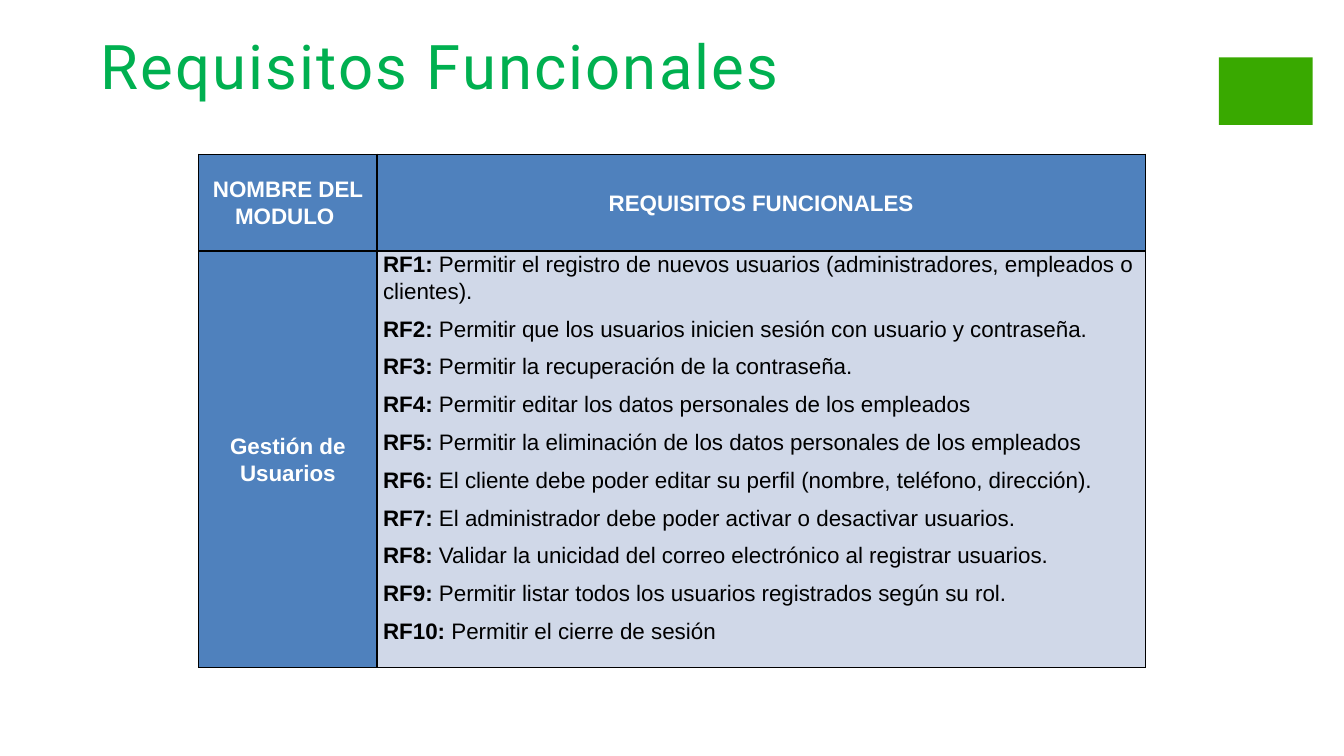
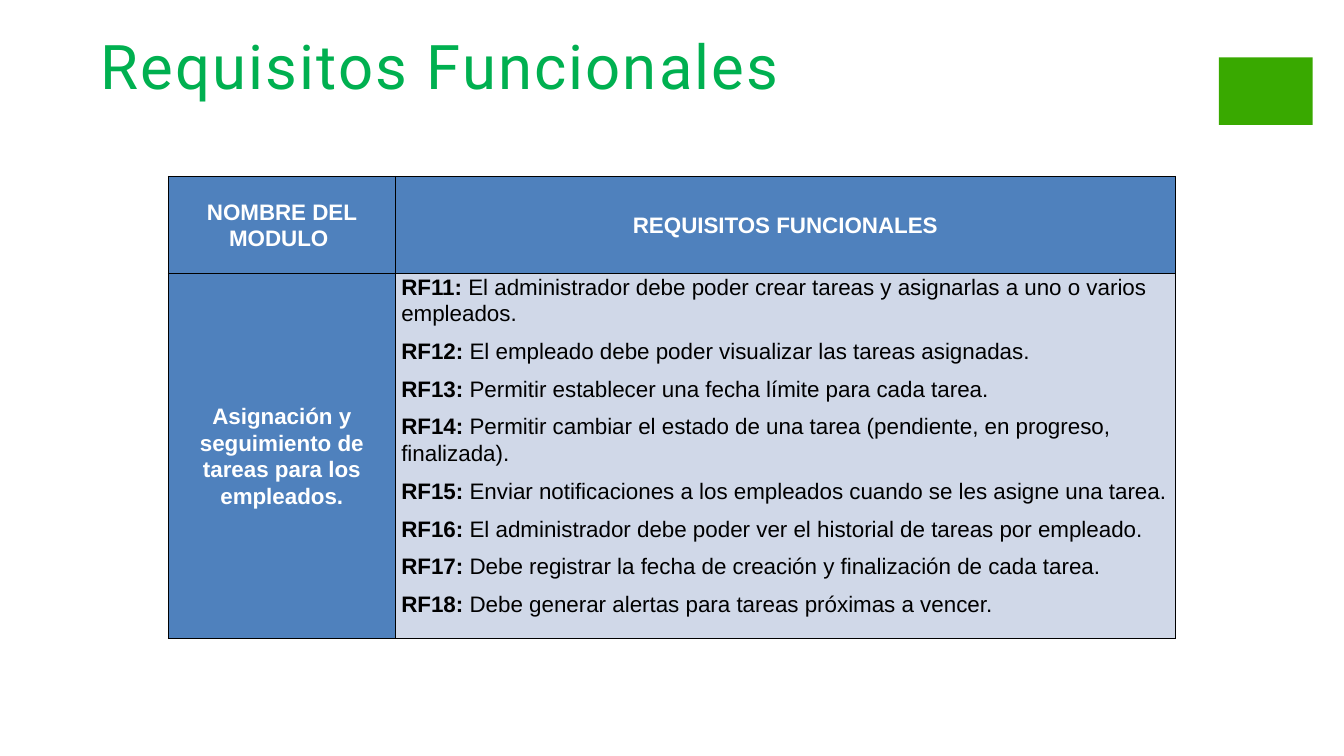
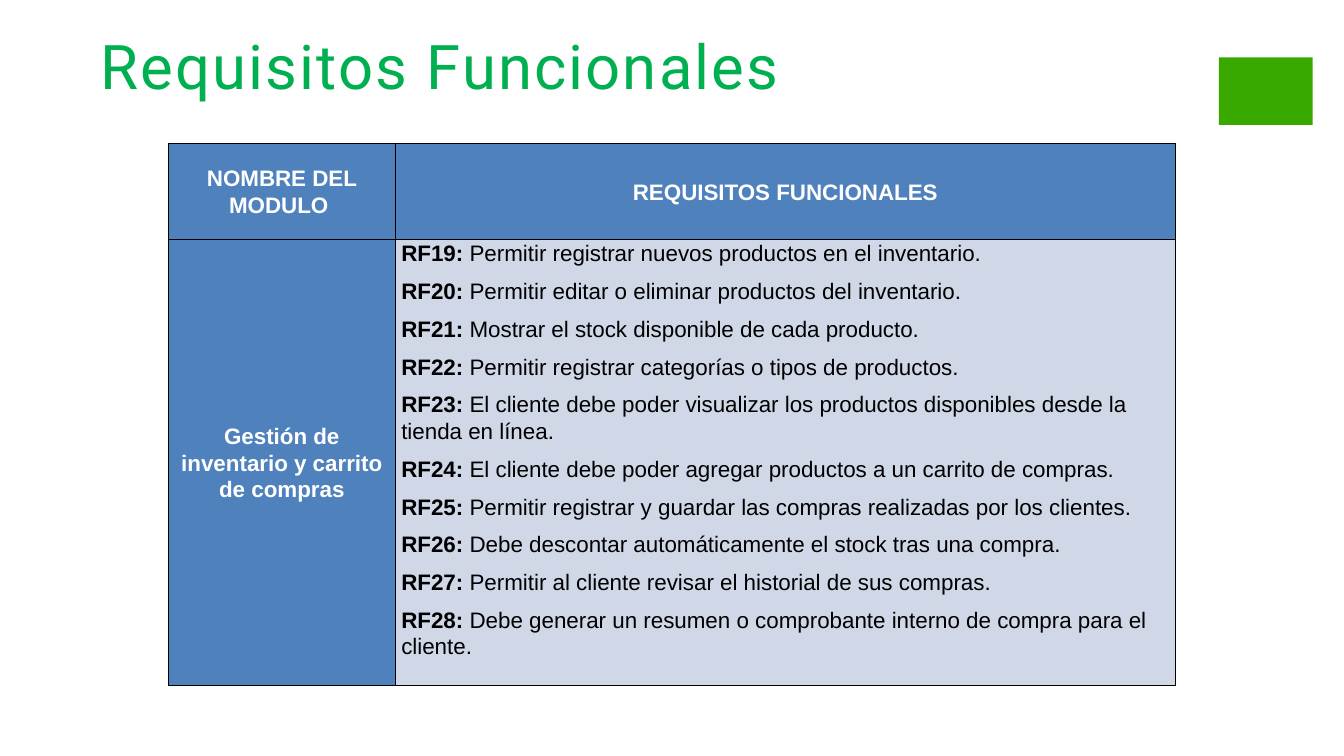
from itertools import count
from lxml.etree import SubElement
from pptx import Presentation
from pptx.dml.color import RGBColor
from pptx.enum.shapes import MSO_SHAPE as Shape
from pptx.enum.text import MSO_ANCHOR as Anchor, MSO_AUTO_SIZE as Auto, PP_ALIGN as Align
from pptx.oxml.ns import qn
from pptx.util import Inches, Pt

GREEN = RGBColor(0x00, 0xB0, 0x50)
LEAF = RGBColor(0x39, 0xA9, 0x00)
BLUE = RGBColor(0x4F, 0x81, 0xBD)
PALE = RGBColor(0xD0, 0xD8, 0xE8)
WHITE = RGBColor(0xFF, 0xFF, 0xFF)
BLACK = RGBColor(0x00, 0x00, 0x00)

TITLE = "Requisitos Funcionales"
HEADS = ["NOMBRE DEL MODULO ", "REQUISITOS FUNCIONALES"]
MODULES = [
    ("Gestión de Usuarios", 1.97, 1.53, (1.77, 7.62), 3.9, [
        "Permitir el registro de nuevos usuarios (administradores, empleados o clientes).",
        "Permitir que los usuarios inicien sesión con usuario y contraseña.",
        "Permitir la recuperación de la contraseña.",
        "Permitir editar los datos personales de los empleados",
        "Permitir la eliminación de los datos personales de los empleados",
        "El cliente debe poder editar su perfil (nombre, teléfono, dirección).",
        "El administrador debe poder activar o desactivar usuarios.",
        "Validar la unicidad del correo electrónico al registrar usuarios.",
        "Permitir listar todos los usuarios registrados según su rol.",
        "Permitir el cierre de sesión",
    ]),
    ("Asignación y seguimiento de tareas para los empleados.", 1.67, 1.75, (2.25, 7.74), 3.4, [
        "El administrador debe poder crear tareas y asignarlas a uno o varios empleados.",
        "El empleado debe poder visualizar las tareas asignadas.",
        "Permitir establecer una fecha límite para cada tarea.",
        "Permitir cambiar el estado de una tarea (pendiente, en progreso, finalizada).",
        "Enviar notificaciones a los empleados cuando se les asigne una tarea.",
        "El administrador debe poder ver el historial de tareas por empleado.",
        "Debe registrar la fecha de creación y finalización de cada tarea.",
        "Debe generar alertas para tareas próximas a vencer.",
    ]),
    ("Gestión de inventario y carrito de compras", 1.67, 1.42, (2.25, 7.74), 4.15, [
        "Permitir registrar nuevos productos en el inventario.",
        "Permitir editar o eliminar productos del inventario.",
        "Mostrar el stock disponible de cada producto.",
        "Permitir registrar categorías o tipos de productos.",
        "El cliente debe poder visualizar los productos disponibles desde la tienda en línea.",
        "El cliente debe poder agregar productos a un carrito de compras.",
        "Permitir registrar y guardar las compras realizadas por los clientes.",
        "Debe descontar automáticamente el stock tras una compra.",
        "Permitir al cliente revisar el historial de sus compras.",
        "Debe generar un resumen o comprobante interno de compra para el cliente.",
    ]),
]


def write(para, text, size=16, font="Arial", color=WHITE, bold=True,
          align=Align.CENTER, line=1.07, after=8, track=0):
    para.alignment = align
    para.line_spacing = line
    para.space_after = Pt(after)
    run = para.add_run()
    run.text = text
    run.font.size = Pt(size)
    run.font.name = font
    run.font.bold = bold
    run.font.color.rgb = color
    if track:
        run.font._element.set("spc", str(track))


def style(cell, color, anchor):
    cell.margin_left = cell.margin_right = Inches(0.06)
    cell.margin_top = cell.margin_bottom = 0
    cell.vertical_anchor = anchor
    props = cell._tc.get_or_add_tcPr()
    for side in ("a:lnL", "a:lnR", "a:lnT", "a:lnB"):
        edge = SubElement(props, qn(side), w=str(Pt(1)))
        fill = SubElement(edge, qn("a:solidFill"))
        SubElement(fill, qn("a:srgbClr"), val=str(BLACK))
    cell.fill.solid()
    cell.fill.fore_color.rgb = color


deck = Presentation()
deck.slide_width = Inches(13.33)
deck.slide_height = Inches(7.5)
number = count(1)

for module, left, top, widths, height, needs in MODULES:
    slide = deck.slides.add_slide(deck.slide_layouts[6])

    mark = slide.shapes.add_shape(
        Shape.RECTANGLE, Inches(12.09), Inches(0.57), Inches(0.93), Inches(0.67))
    mark.shadow.inherit = False
    mark.fill.solid()
    mark.fill.fore_color.rgb = LEAF
    mark.line.fill.background()

    title = slide.shapes.add_textbox(Inches(1), Inches(0.28), Inches(10.96), Inches(0.74))
    frame = title.text_frame
    frame.word_wrap = True
    frame.auto_size = Auto.SHAPE_TO_FIT_TEXT
    frame.margin_left = frame.margin_right = frame.margin_top = frame.margin_bottom = 0
    write(frame.paragraphs[0], TITLE, size=44, font="Roboto", color=GREEN, bold=False,
          align=Align.LEFT, line=1.0, after=0, track=150)

    table = slide.shapes.add_table(
        2, 2, Inches(left), Inches(top), Inches(sum(widths)), Inches(0.96 + height)).table
    table.horz_banding = False
    for column, width in zip(table.columns, widths):
        column.width = Inches(width)
    for row, tall in zip(table.rows, (0.96, height)):
        row.height = Inches(tall)

    for cell, label in zip(table.iter_cells(), HEADS + [module]):
        style(cell, BLUE, Anchor.MIDDLE)
        write(cell.text_frame.paragraphs[0], label)

    body = table.cell(1, 1)
    style(body, PALE, Anchor.TOP)
    for index, need in enumerate(needs):
        frame = body.text_frame
        para = frame.add_paragraph() if index else frame.paragraphs[0]
        write(para, f"RF{next(number)}: ", color=BLACK, align=Align.LEFT)
        write(para, need, color=BLACK, bold=False, align=Align.LEFT)

deck.save("out.pptx")
